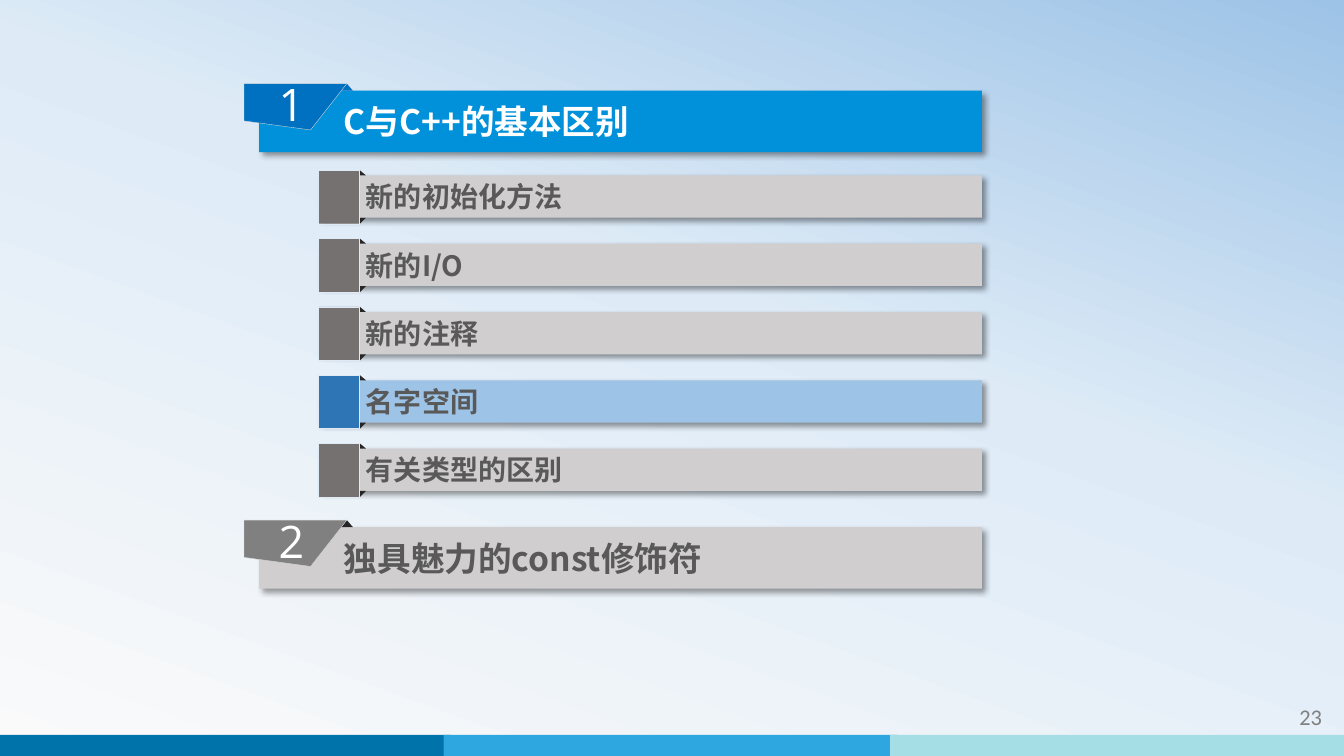
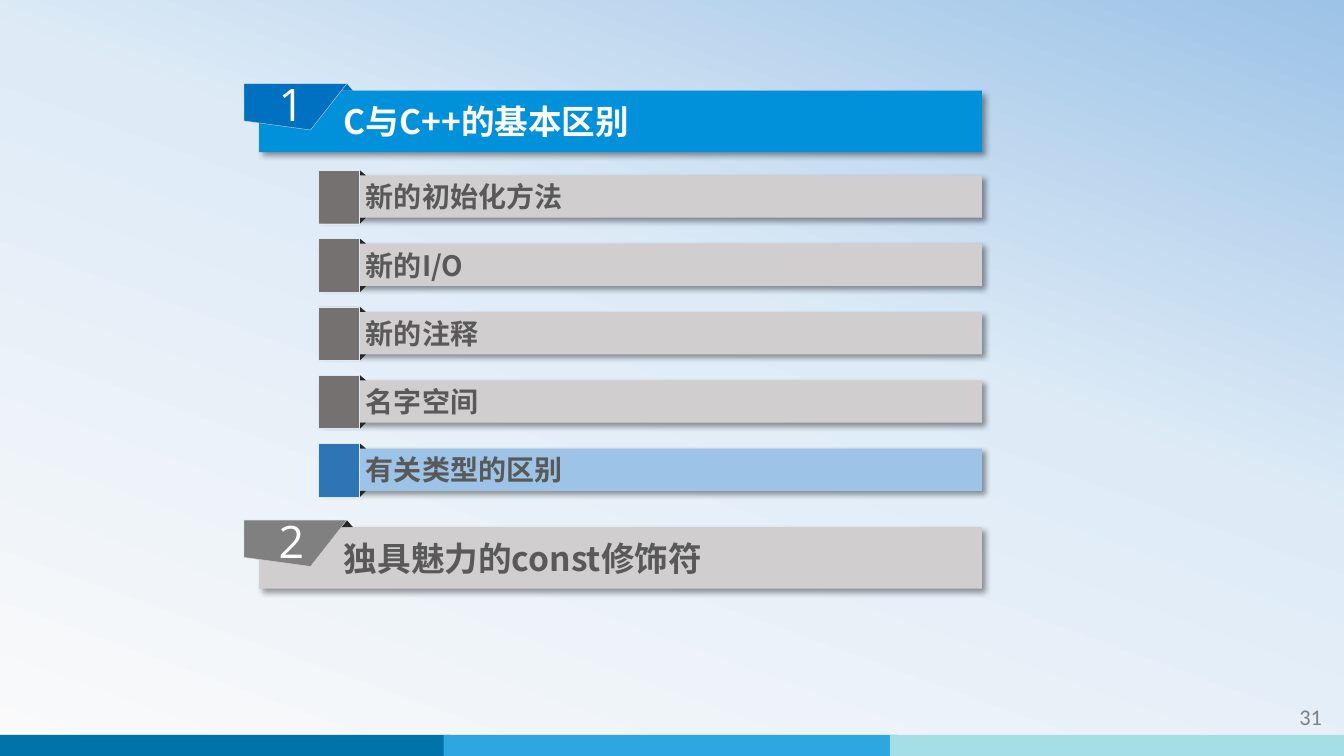
from dataclasses import dataclass

from lxml import etree
from pptx import Presentation
from pptx.dml.color import RGBColor
from pptx.enum.shapes import MSO_SHAPE
from pptx.enum.text import MSO_ANCHOR, PP_ALIGN
from pptx.oxml.ns import qn
from pptx.util import Inches, Pt

RECT, TRIANGLE = MSO_SHAPE.RECTANGLE, MSO_SHAPE.ISOSCELES_TRIANGLE
MIDDLE = MSO_ANCHOR.MIDDLE
LEFT, CENTER, RIGHT = PP_ALIGN.LEFT, PP_ALIGN.CENTER, PP_ALIGN.RIGHT


@dataclass(frozen=True)
class Theme:
    # Colours
    backdrop: tuple = ((0, "FAFAFA"), (0.58, "DEEBF7"), (1, "9DC3E6"))
    bands: tuple = ("0073AB", "2EA7E0", "A5DEE4")
    bar: str = "D0CECE"
    bar_text: str = "595959"
    fold: str = "262626"
    white: str = "FFFFFF"
    page: str = "808080"
    section_tab: str = "808080"
    section_edge: str = "D9D9D9"
    section_bar_on: str = "0091DA"
    section_tab_on: str = "0070C0"
    topic_tab: str = "767171"
    topic_edge: str = "DEEBF7"
    topic_bar_on: str = "9DC3E6"
    topic_tab_on: str = "2E75B6"
    # Fonts and sizes
    body_font: str = "Noto Sans CJK SC"
    number_font: str = "Open Sans"
    page_font: str = "Calibri"
    section_size: int = 24
    topic_size: int = 20
    number_size: int = 32
    page_size: int = 16


THEME = Theme()
SECTIONS = ("C与C++的基本区别", "独具魅力的const修饰符")
TOPICS = ("新的初始化方法", "新的I/O", "新的注释", "名字空间", "有关类型的区别")
SECTION_TOPS = (0.9, 5.23)
FIRST_TOPIC, LAST_TOPIC = 1.74, 4.45
# Page number and index of the highlighted topic
SLIDES = ((23, 3), (31, 4))


# Basic elements
def paint(sp, fill, edge=None):
    sp.shadow.inherit = False
    sp.fill.solid()
    sp.fill.fore_color.rgb = RGBColor.from_string(fill)
    if edge:
        sp.line.color.rgb = RGBColor.from_string(edge)
        sp.line.width = Pt(0.25)
    else:
        sp.line.fill.background()


def add_box(shapes, kind, box, fill, edge=None):
    sp = shapes.add_shape(kind, *map(Inches, box))
    paint(sp, fill, edge)
    return sp


def add_shadow(sp):
    effects = sp.element.spPr.find(qn("a:effectLst"))
    shadow = etree.SubElement(effects, qn("a:outerShdw"), blurRad=str(Pt(4)),
                              dist=str(Pt(3)), dir=str(45 * 60000),
                              algn="tl", rotWithShape="0")
    color = etree.SubElement(shadow, qn("a:srgbClr"), val="000000")
    etree.SubElement(color, qn("a:alpha"), val="40000")


def write(sp, text, font, size, color, align=LEFT, bold=False, margins=None):
    tf = sp.text_frame
    frame_format = {"word_wrap": True, "vertical_anchor": MIDDLE}
    for side, inches in (margins or {}).items():
        frame_format["margin_" + side] = Inches(inches)
    for name, value in frame_format.items():
        setattr(tf, name, value)
    p = tf.paragraphs[0]
    p.alignment = align
    r = p.add_run()
    r.text = text
    for name, value in {"name": font, "size": Pt(size), "bold": bold}.items():
        setattr(r.font, name, value)
    r.font.color.rgb = RGBColor.from_string(color)
    etree.SubElement(r.font._element, qn("a:ea"), typeface=font)


def add_bar(shapes, box, fill, text, size, color, indent):
    bar = add_box(shapes, RECT, box, fill)
    add_shadow(bar)
    write(bar, text, THEME.body_font, size, color, bold=True,
          margins={"left": indent})


# Shared background, bands and page number
def set_backdrop(prs):
    master = prs.slide_master
    fill = master.background.fill
    fill.gradient()
    fill.gradient_angle = 70
    stops = master.element.find(".//" + qn("a:gsLst"))
    for stop in list(stops):
        stops.remove(stop)
    for position, color in THEME.backdrop:
        stop = etree.SubElement(stops, qn("a:gs"), pos=str(round(position * 100000)))
        etree.SubElement(stop, qn("a:srgbClr"), val=color)


def add_footer(slide, page):
    for i, color in enumerate(THEME.bands):
        add_box(slide.shapes, RECT, (-0.03 + 4.43 * i, 7.29, 4.5, 0.21), color)
    number = slide.shapes.add_textbox(*map(Inches, (11.62, 6.91, 1.59, 0.4)))
    write(number, str(page), THEME.page_font, THEME.page_size, THEME.page, RIGHT)


# Agenda rows
def add_section(slide, number, text, top, active):
    shapes = slide.shapes.add_group_shape().shapes
    bar, tab, fold, color = (
        (THEME.section_bar_on, THEME.section_tab_on, THEME.section_tab_on, THEME.white)
        if active else
        (THEME.bar, THEME.section_tab, THEME.fold, THEME.bar_text))
    add_bar(shapes, (2.57, top, 7.17, 0.61), bar, text,
            THEME.section_size, color, 0.84)
    add_box(shapes, TRIANGLE, (3.38, top - 0.07, 0.12, 0.07), fold)

    left, tab_top = 2.42, top - 0.07
    outline = [(left + dx, tab_top + dy)
               for dx, dy in ((0, 0), (1.02, 0), (0.66, 0.46), (0, 0.37))]
    points = [(Inches(x), Inches(y)) for x, y in outline]
    builder = shapes.build_freeform(*points[0])
    builder.add_line_segments(points[1:], close=True)
    flag = builder.convert_to_shape()
    paint(flag, tab, THEME.section_edge)
    write(flag, str(number), THEME.number_font, THEME.number_size, THEME.white,
          CENTER, margins={"left": 0.09, "top": 0.04, "right": 0.17, "bottom": 0.1})


def add_topic(slide, text, top, active):
    shapes = slide.shapes.add_group_shape().shapes
    bar, tab = ((THEME.topic_bar_on, THEME.topic_tab_on) if active
                else (THEME.bar, THEME.topic_tab))
    add_bar(shapes, (3.17, top, 6.57, 0.42), bar, text,
            THEME.topic_size, THEME.bar_text, 0.46)
    add_box(shapes, TRIANGLE, (3.51, top - 0.05, 0.12, 0.05), THEME.fold)
    lower = add_box(shapes, TRIANGLE, (3.51, top + 0.42, 0.12, 0.06), THEME.fold)
    lower.rotation = 180
    add_box(shapes, RECT, (3.16, top - 0.05, 0.4, 0.53), tab, THEME.topic_edge)


def add_agenda(prs, page, current):
    slide = prs.slides.add_slide(prs.slide_layouts.get_by_name("Blank"))
    add_footer(slide, page)
    pitch = (LAST_TOPIC - FIRST_TOPIC) / (len(TOPICS) - 1)
    for i, text in enumerate(TOPICS):
        add_topic(slide, text, FIRST_TOPIC + pitch * i, i == current)
    for i, (text, top) in enumerate(zip(SECTIONS, SECTION_TOPS)):
        add_section(slide, i + 1, text, top, i == 0)


def main():
    prs = Presentation()
    prs.slide_width, prs.slide_height = Inches(13.33), Inches(7.5)
    set_backdrop(prs)
    for page, current in SLIDES:
        add_agenda(prs, page, current)
    prs.save("out.pptx")


if __name__ == "__main__":
    main()
